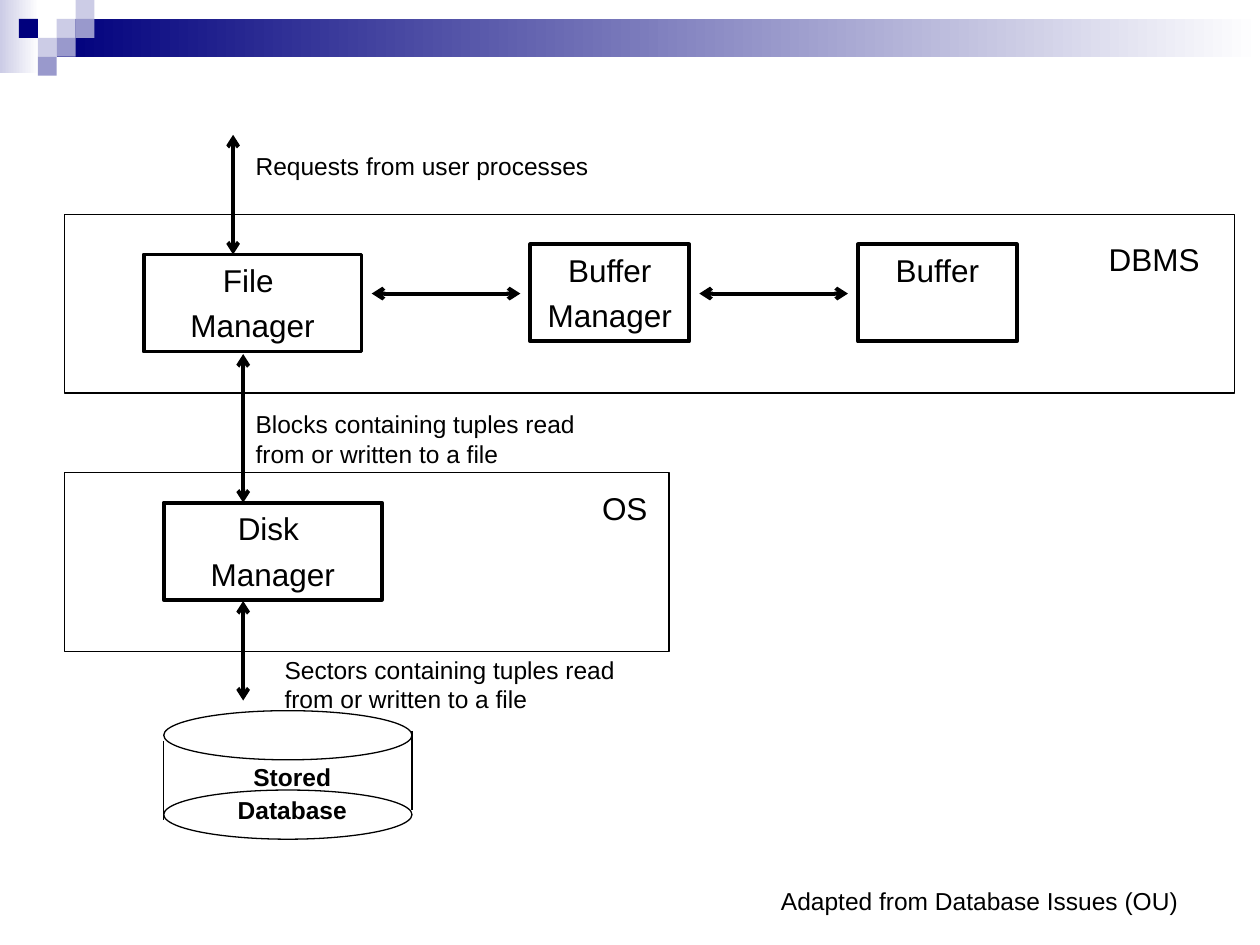
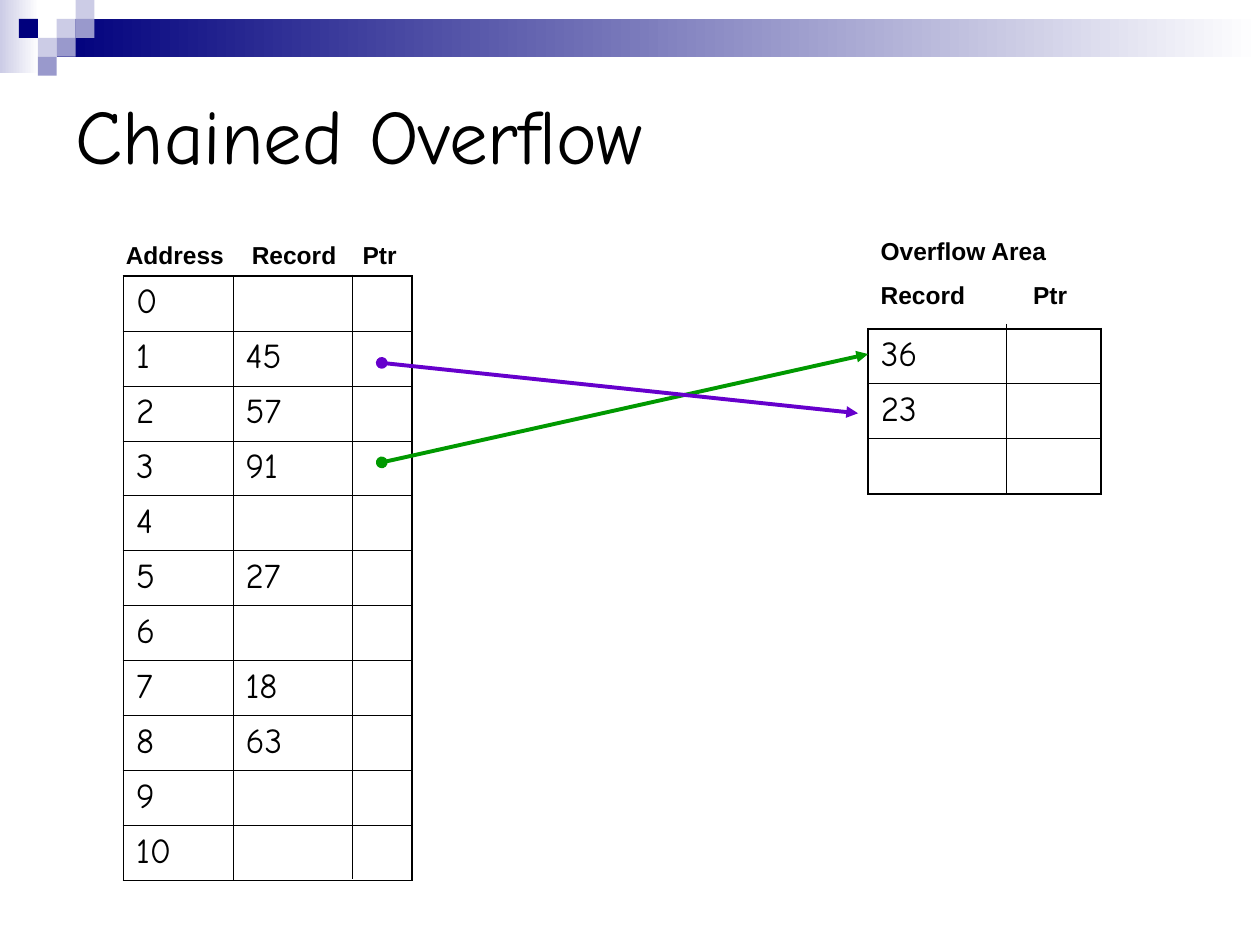
from dataclasses import dataclass

from lxml.etree import SubElement
from pptx import Presentation
from pptx.dml.color import RGBColor
from pptx.enum.shapes import MSO_CONNECTOR, MSO_SHAPE
from pptx.enum.text import MSO_ANCHOR, MSO_AUTO_SIZE, PP_ALIGN
from pptx.oxml import parse_xml
from pptx.oxml.ns import nsdecls, qn
from pptx.util import Inches, Pt

TITLE_ONLY, BLANK = 5, 6
COLUMNS, ROWS = 100, 75


@dataclass(frozen=True)
class Theme:
    ink: str = "000000"
    paper: str = "FFFFFF"
    navy: str = "00007D"
    lilac: str = "9999CC"
    pale: str = "CCCCE6"
    green: str = "009900"
    violet: str = "6600CC"
    body_font: str = "Arial"
    hand_font: str = "Comic Neue"
    title_size: float = 44
    cell_size: float = 20
    label_size: float = 18
    note_size: float = 14
    thin: float = 0.75
    thick: float = 2.25
    cell_edge: float = 1.08
    cell_rule: float = 0.45


THEME = Theme()


def write(frame, text, size=THEME.note_size, font=THEME.body_font, bold=False,
          align=PP_ALIGN.LEFT, gap=0, anchor=MSO_ANCHOR.TOP, tabs=()):
    frame.word_wrap = True
    frame.auto_size = MSO_AUTO_SIZE.NONE
    frame.vertical_anchor = anchor
    for index, line in enumerate(text.split("\n")):
        paragraph = frame.add_paragraph() if index else frame.paragraphs[0]
        paragraph.alignment = align
        if index:
            paragraph.space_before = Pt(gap)
        if tabs:
            stops = SubElement(paragraph._p.get_or_add_pPr(), qn("a:tabLst"))
            for position in tabs:
                SubElement(stops, qn("a:tab"), pos=str(Inches(position)), algn="l")
        run = paragraph.add_run()
        run.text = line
        run.font.name = font
        run.font.size = Pt(size)
        run.font.bold = bold
        run.font.color.rgb = RGBColor.from_string(THEME.ink)


class Deck:
    def __init__(self, theme):
        self.theme = theme
        self.prs = Presentation()
        self.prs.slide_width = Inches(10)
        self.prs.slide_height = Inches(7.5)
        self.slide = None

    def x(self, columns):
        return round(self.prs.slide_width * columns / COLUMNS)

    def y(self, rows):
        return round(self.prs.slide_height * rows / ROWS)

    def place(self, left, top, width, height):
        return self.x(left), self.y(top), self.x(width), self.y(height)

    def add_slide(self, title=None):
        layout = self.prs.slide_layouts[TITLE_ONLY if title else BLANK]
        self.slide = self.prs.slides.add_slide(layout)
        if title:
            heading = self.slide.shapes.title
            heading.left, heading.top, heading.width, heading.height = self.place(5, 5, 90, 11.2)
            write(heading.text_frame, title, size=self.theme.title_size,
                  font=self.theme.hand_font, anchor=MSO_ANCHOR.MIDDLE)

    def shape(self, *area, kind=MSO_SHAPE.RECTANGLE, fill=None, fade=False, line=None):
        shape = self.slide.shapes.add_shape(kind, *self.place(*area))
        shape.shadow.inherit = False
        if fade:
            shape.fill.gradient()
            shape.fill.gradient_angle = 0
            for stop, colour in zip(shape.fill.gradient_stops, (fill, self.theme.paper)):
                stop.color.rgb = RGBColor.from_string(colour)
        elif fill:
            shape.fill.solid()
            shape.fill.fore_color.rgb = RGBColor.from_string(fill)
        else:
            shape.fill.background()
        if line:
            shape.line.color.rgb = RGBColor.from_string(self.theme.ink)
            shape.line.width = Pt(line)
        else:
            shape.line.fill.background()
        return shape

    def box(self, text, *area):
        frame = self.shape(*area, line=self.theme.thick).text_frame
        write(frame, text, size=self.theme.label_size, align=PP_ALIGN.CENTER, gap=4.5)

    def text(self, text, *area, **style):
        write(self.slide.shapes.add_textbox(*self.place(*area)).text_frame, text, **style)

    def line(self, start, end, colour=THEME.ink, width=THEME.thin, head=None, tail=None):
        link = self.slide.shapes.add_connector(
            MSO_CONNECTOR.STRAIGHT, self.x(start[0]), self.y(start[1]), self.x(end[0]), self.y(end[1]))
        link.line.color.rgb = RGBColor.from_string(colour)
        link.line.width = Pt(width)
        for tag, style in (("a:headEnd", head), ("a:tailEnd", tail)):
            if style:
                SubElement(link.line._get_or_add_ln(), qn(tag), type=style)
        SubElement(link.element.spPr, qn("a:effectLst"))

    def table(self, records, left, top, widths, row_height):
        last_row, last_column = len(records) - 1, len(widths) - 1
        table = self.slide.shapes.add_table(
            len(records), len(widths),
            *self.place(left, top, sum(widths), row_height * len(records))).table
        table.first_row = table.horz_banding = False
        for column, width in zip(table.columns, widths):
            column.width = self.x(width)
        for r, record in enumerate(records):
            table.rows[r].height = self.y(row_height)
            for c, value in enumerate(record):
                cell = table.cell(r, c)
                cell.fill.background()
                write(cell.text_frame, value, size=self.theme.cell_size, font=self.theme.hand_font)
                self.borders(cell, L=c == 0, R=c == last_column, T=r == 0, B=r == last_row)

    def borders(self, cell, **outer_sides):
        properties = cell._tc.get_or_add_tcPr()
        for index, (side, outer) in enumerate(outer_sides.items()):
            width = Pt(self.theme.cell_edge if outer else self.theme.cell_rule)
            properties.insert(index, parse_xml(
                f'<a:ln{side} {nsdecls("a")} w="{width}"><a:solidFill>'
                f'<a:srgbClr val="{self.theme.ink}"/></a:solidFill></a:ln{side}>'))

    def master_band(self):
        t, tile = self.theme, 1.5
        band = [self.shape(0, 0, 3.1, 5.8, fill=t.pale, fade=True),
                self.shape(3 * tile, tile, 100 - 3 * tile, 2 * tile, fill=t.navy, fade=True)]
        mosaic = {(3, 1): t.pale, (4, 0): t.pale, (4, 1): t.lilac, (2, 2): t.pale,
                  (1, 1): t.navy, (3, 2): t.lilac, (2, 3): t.lilac}
        for (column, row), colour in mosaic.items():
            band.append(self.shape(column * tile, row * tile, tile, tile, fill=colour))
        for number, part in enumerate(band, 100):
            part.element.nvSpPr.cNvPr.set("id", str(number))
            self.prs.slide_master.shapes.element.append(part.element)


def storage_layers(deck):
    t = deck.theme
    deck.add_slide()
    deck.master_band()

    for area in ((5.1, 17, 92.9, 14.2), (5.1, 37.5, 48, 14.2)):
        deck.shape(*area, line=t.thin)
    deck.text("DBMS", 87, 18.6, 9.4, 4, size=t.label_size)
    deck.text("OS", 46.8, 38.3, 6.3, 4, size=t.label_size)

    deck.box("File \nManager", 11.4, 20.2, 17.3, 7.7)
    deck.box("Buffer\nManager", 42.1, 19.4, 12.6, 7.7)
    deck.box("Buffer", 68.1, 19.4, 12.6, 7.7)
    deck.box("Disk \nManager", 13, 39.9, 17.3, 7.7)

    disk_left, disk_width = 13, 19.7
    for rim in (56.4, 62.7):
        deck.shape(disk_left, rim, disk_width, 3.9, kind=MSO_SHAPE.OVAL, line=t.thin)
    for side, top in ((disk_left, 58.8), (disk_left + disk_width, 58)):
        deck.line((side, top), (side, top + 6.3))
    deck.text("Stored\nDatabase", 16.9, 60, 12.6, 5.9, bold=True, align=PP_ALIGN.CENTER, gap=1.8)

    flows = [((18.5, 10.7), (18.5, 20.2)), ((19.3, 28.1), (19.3, 39.9)),
             ((19.3, 47.7), (19.3, 55.6)), ((41.3, 23.3), (29.5, 23.3)),
             ((67.3, 23.3), (55.5, 23.3))]
    for start, end in flows:
        deck.line(start, end, width=t.thick, head="arrow", tail="arrow")

    deck.text("Requests from user processes", 19.3, 11.5, 31.5, 3.4)
    deck.text("Blocks containing tuples read from or written to a file", 19.3, 32, 31.5, 5.7)
    deck.text("Sectors containing tuples read from or written to a file", 21.6, 51.5, 31.5, 5.7)
    deck.text("Adapted from Database Issues (OU)", 61, 69.8, 37, 3.4)


def chained_overflow(deck):
    t = deck.theme
    deck.add_slide("Chained Overflow")
    row_height = 4.365

    stored = {1: "45", 2: "57", 3: "91", 5: "27", 7: "18", 8: "63"}
    addresses = [(str(address), stored.get(address, "")) for address in range(11)]
    deck.table(addresses, 9.8, 21.9, (8.7, 14.2), row_height)
    deck.text("Address\tRecord\tPtr", 9, 18.6, 24.4, 3.4, bold=True, tabs=(1, 1.88))

    deck.table([("36",), ("23",), ("",)], 68.9, 26.1, (18.5,), row_height)
    deck.text("Overflow Area\nRecord\tPtr", 68.9, 18.2, 18.9, 6.9, bold=True, gap=8.8, tabs=(1.21,))

    for divider, top, bottom in ((28, 21.8, 69.8), (79.9, 25.7, 39.1)):
        deck.line((divider, top), (divider, bottom))
    for start, end, colour in (((30.3, 36.7), (68.9, 28.1), t.green),
                               ((30.3, 28.8), (68.1, 32.8), t.violet)):
        deck.line(start, end, colour=colour, width=t.thick, head="oval", tail="triangle")


def main():
    deck = Deck(THEME)
    storage_layers(deck)
    chained_overflow(deck)
    deck.prs.save("out.pptx")


if __name__ == "__main__":
    main()
